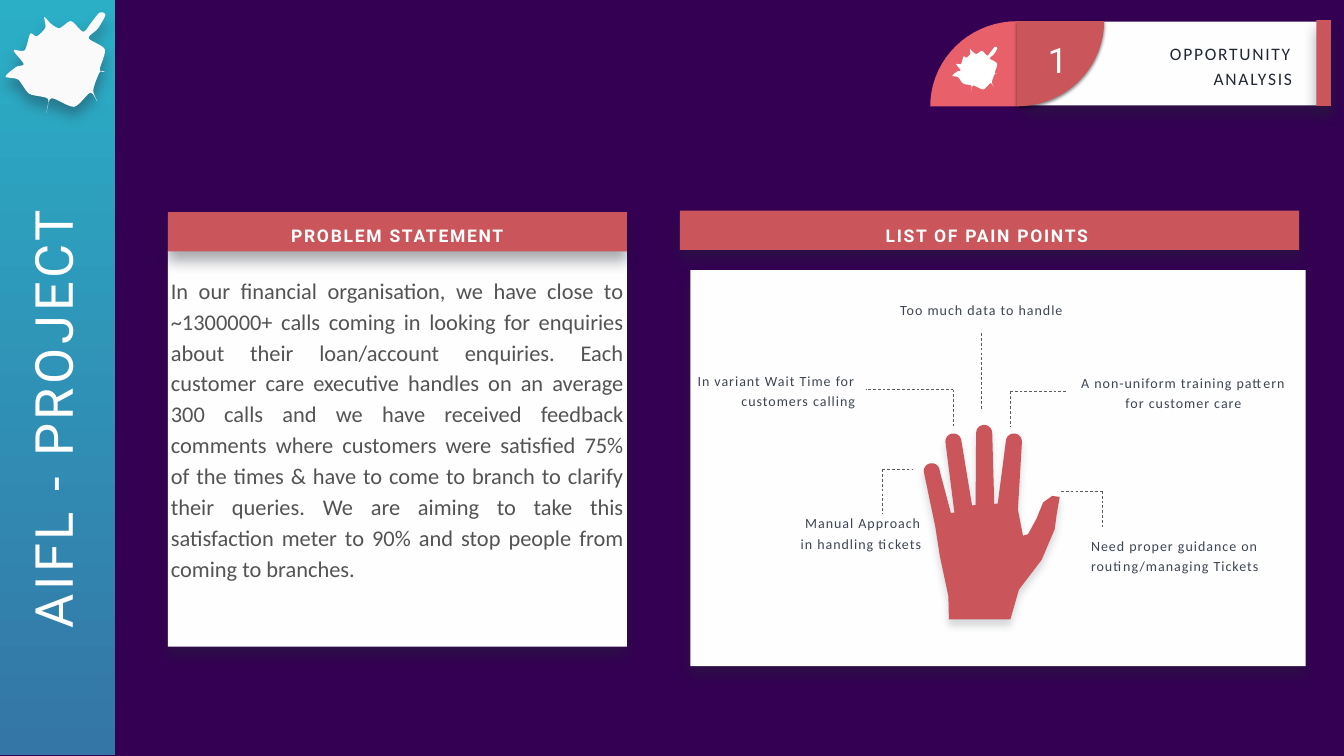
from math import cos, radians, sin

from lxml import etree
from pptx import Presentation, util as u
from pptx.dml.color import RGBColor
from pptx.enum import dml, shapes, text as t
from pptx.oxml.ns import qn

PX = 9144  # EMU in one px; 100 px to the inch
COLORS = {
    "night": "340053", "paper": "FEFEFE", "white": "FFFFFF", "splat": "FAFAFA",
    "red": "CA555B", "coral": "E86069", "ink": "202833", "body": "535353",
    "label": "3D4553", "rule": "5A5F5E", "teal": "2BAFC7", "blue": "3476A6",
    "black": "000000",
}
RGB = {name: RGBColor.from_string(value) for name, value in COLORS.items()}
# colour, opacity %, blur pt, distance pt
DEEP = ("ink", 39, 20, 12.8)
TIGHT = ("black", 50, 5, 2)
SOFT = ("label", 20, 11, 8.7)
LEFT, CENTER, RIGHT = t.PP_ALIGN.LEFT, t.PP_ALIGN.CENTER, t.PP_ALIGN.RIGHT

presentation = Presentation()
presentation.slide_width, presentation.slide_height = 2667 * PX, 1500 * PX
slide = presentation.slides.add_slide(presentation.slide_layouts[1])
slide.background.fill.solid()
slide.background.fill.fore_color.rgb = RGB["night"]


def write(shape, box, text, size=20, color="label", font="Calibri", bold=False,
          align=CENTER, leading=1.2, tracking=1.4, grow=True):
    shape.left, shape.top, shape.width, shape.height = (n * PX for n in box)
    frame = shape.text_frame
    frame.text = text
    frame.word_wrap = True
    frame.auto_size = t.MSO_AUTO_SIZE.SHAPE_TO_FIT_TEXT if grow else t.MSO_AUTO_SIZE.NONE
    frame.vertical_anchor = t.MSO_ANCHOR.MIDDLE
    frame.margin_left = frame.margin_right = frame.margin_top = frame.margin_bottom = 6 * PX
    paragraph = frame.paragraphs[0]
    paragraph.alignment, paragraph.line_spacing = align, leading
    paragraph.space_before = u.Pt(0)
    for run in paragraph.runs:
        run.font.size, run.font.name, run.font.bold = u.Pt(size), font, bold
        run.font.color.rgb = RGB[color]
        run._r.get_or_add_rPr().set("spc", str(round(tracking * 100)))
    return shape


def outline(points, x=0, y=0, zoom=1):
    placed = [((x + zoom * px) * PX, (y + zoom * py) * PX) for px, py in points]
    builder = slide.shapes.build_freeform(*placed[0], scale=1.0)
    builder.add_line_segments(placed[1:], close=True)
    return builder.convert_to_shape()


# Quarter tile: its square corner, then an arc
quarter = [(0, 169)] + [(173 * cos(radians(a)), 169 + 169 * sin(radians(a)))
                        for a in range(180, 271, 5)]

# Splat: a closed smooth curve through its tips and hollows
knots = [
    (198, 25), (181, 45), (165, 63), (141, 42), (118, 56), (101, 47), (88, 34), (90, 55),
    (73, 72), (60, 67), (49, 100), (27, 100), (47, 127), (32, 133), (11, 152), (36, 158),
    (58, 186), (95, 196), (92, 224), (102, 195), (147, 212), (179, 184), (193, 201),
    (185, 179), (198, 143), (209, 143), (198, 138), (208, 98), (176, 76), (194, 57), (209, 30),
]
splat = []
for i, end in enumerate(knots):
    before, start, after = knots[i - 2], knots[i - 1], knots[(i + 1) % len(knots)]
    for k in (n / 6 for n in range(6)):
        ease = k * k * (3 - 2 * k)
        splat.append(tuple(
            s + ease * (e - s) + 0.4 * k * (1 - k) * ((1 - k) * (e - b) - k * (a - s))
            for b, s, e, a in zip(before, start, end, after)))

# Hand: four round fingertips between the wrist and the thumb
hand = [(1883, 1229), (1882, 1183), (1865, 1103), (1856, 1045)]
for tip_x, tip_y, base_x, base_y in [(1849, 935, 1887, 1018), (1892, 876, 1929, 1003),
                                     (1953, 859, 1973, 1000), (2012, 876, 2020, 1011)]:
    hand += [(tip_x + 16 * cos(radians(a)), tip_y + 16 * sin(radians(a)))
             for a in range(180, 361, 20)]
    hand += [(base_x, base_y), (base_x + 7, base_y - 1)]
hand[-1] = (2030, 1063)
hand += [(2040, 1060), (2057, 1029), (2070, 997), (2088, 984), (2103, 986),
         (2097, 1020), (2093, 1050), (2067, 1111), (2022, 1170), (2005, 1229)]

# Problem statement in the body placeholder
statement = write(
    slide.placeholders[1], (333, 497, 911, 786),
    "In our financial organisation, we have close to ~1300000+ calls coming in looking for "
    "enquiries about their loan/account enquiries. Each customer care executive handles on an "
    "average 300 calls and we have received feedback comments where customers were satisfied "
    "75% of the times & have to come to branch to clarify their queries. We are aiming to take "
    "this satisfaction meter to 90% and stop people from coming to branches.",
    size=32, color="body", align=t.PP_ALIGN.JUSTIFY, leading=1.15, tracking=0, grow=False)
statement.text_frame.margin_bottom = 90 * PX
properties = statement.text_frame.paragraphs[0]._p.get_or_add_pPr()
properties.set("marL", "0")
properties.set("indent", "0")
etree.SubElement(properties, qn("a:buNone"))

# Panels, bars and outlines, from back to front
painted = [(statement, "paper", DEEP)]
for box, fill, shadow in [
    ((333, 421, 911, 78), "red", DEEP),
    ((2035, 43, 606, 166), "paper", DEEP),
    ((2612, 40, 29, 170), "red", DEEP),
    ((-4, -10, 232, 1508), "teal", None),
    ((1370, 536, 1221, 786), "paper", DEEP),
    ((1349, 418, 1229, 78), "red", DEEP),
]:
    panel = slide.shapes.add_shape(shapes.MSO_SHAPE.RECTANGLE, *(n * PX for n in box))
    painted.append((panel, fill, shadow))
painted += [
    (outline(quarter, 2019, 42), "coral", None),
    (outline(quarter, 2018, 211, zoom=-1), "red", TIGHT),
    (outline(splat, 1885, 82, zoom=0.45), "white", None),
    (outline(splat), "splat", DEEP),
    (outline(hand), "red", SOFT),
]
for shape, fill, shadow in painted:
    shape.line.fill.background()
    shape.shadow.inherit = False
    if fill == "teal":
        shape.fill.gradient()
        shape.fill.gradient_angle = 270
        for stop, color in zip(shape.fill.gradient_stops, ("teal", "blue")):
            stop.color.rgb = RGB[color]
    else:
        shape.fill.solid()
        shape.fill.fore_color.rgb = RGB[fill]
    if shadow:
        color, opacity, blur, distance = shadow
        effects = shape.element.spPr.find(qn("a:effectLst"))
        outer = etree.SubElement(
            effects, qn("a:outerShdw"), blurRad=str(u.Pt(blur)), dist=str(u.Pt(distance)),
            dir="5400000", algn="t", rotWithShape="0")
        tone = etree.SubElement(outer, qn("a:srgbClr"), val=COLORS[color])
        etree.SubElement(tone, qn("a:alpha"), val=str(opacity * 1000))

# Title placeholder, brought in front of its banner
title = write(slide.shapes.title, (2229, 77, 341, 100), "OPPORTUNITY ANALYSIS", size=25,
              color="ink", align=RIGHT, tracking=2.5)
title.element.getparent().append(title.element)

heading = dict(size=25, color="white", font="Roboto", bold=True, leading=1.3, tracking=2.5)
display = dict(color="white", font="Roboto", leading=0.9)
for box, text, style in [
    ((515, 434, 547, 53), "PROBLEM STATEMENT", heading),
    ((1685, 434, 547, 53), "LIST OF PAIN POINTS", heading),
    ((2070, 77, 58, 94), "1", dict(display, size=50, tracking=5)),
    ((-457, 764, 1136, 136), "AIFL - PROJECT", dict(display, size=75, tracking=5.2)),
    ((1558, 1009, 276, 92), "Manual Approach\vin handling tickets", dict(align=RIGHT)),
    ((2119, 733, 459, 88), "A non-uniform training pattern for customer care", {}),
    ((1595, 586, 705, 52), "Too much data to handle", {}),
    ((1370, 726, 333, 92), "In variant Wait Time for\vcustomers calling", dict(align=RIGHT)),
    ((2159, 1053, 441, 92), "Need proper guidance on routing/managing Tickets",
     dict(align=LEFT)),
]:
    label = write(slide.shapes.add_textbox(0, 0, PX, PX), box, text, **style)
    if text == "AIFL - PROJECT":
        label.rotation = 270

# Dashed leaders: a corner, with one arm across and one arm down
for x, y, across, down in [(1948, 661, 0, 154), (2004, 777, 115, 69), (1751, 931, 59, 89),
                           (2188, 974, -85, 71), (1892, 773, -174, 73)]:
    for dx, dy in ((across, 0), (0, down)):
        if dx or dy:
            leader = slide.shapes.add_connector(
                shapes.MSO_CONNECTOR.STRAIGHT, x * PX, y * PX, (x + dx) * PX, (y + dy) * PX)
            leader.line.color.rgb = RGB["rule"]
            leader.line.width = u.Pt(1)
            leader.line.dash_style = dml.MSO_LINE.DASH
            etree.SubElement(leader.element.spPr, qn("a:effectLst"))

presentation.save("out.pptx")
